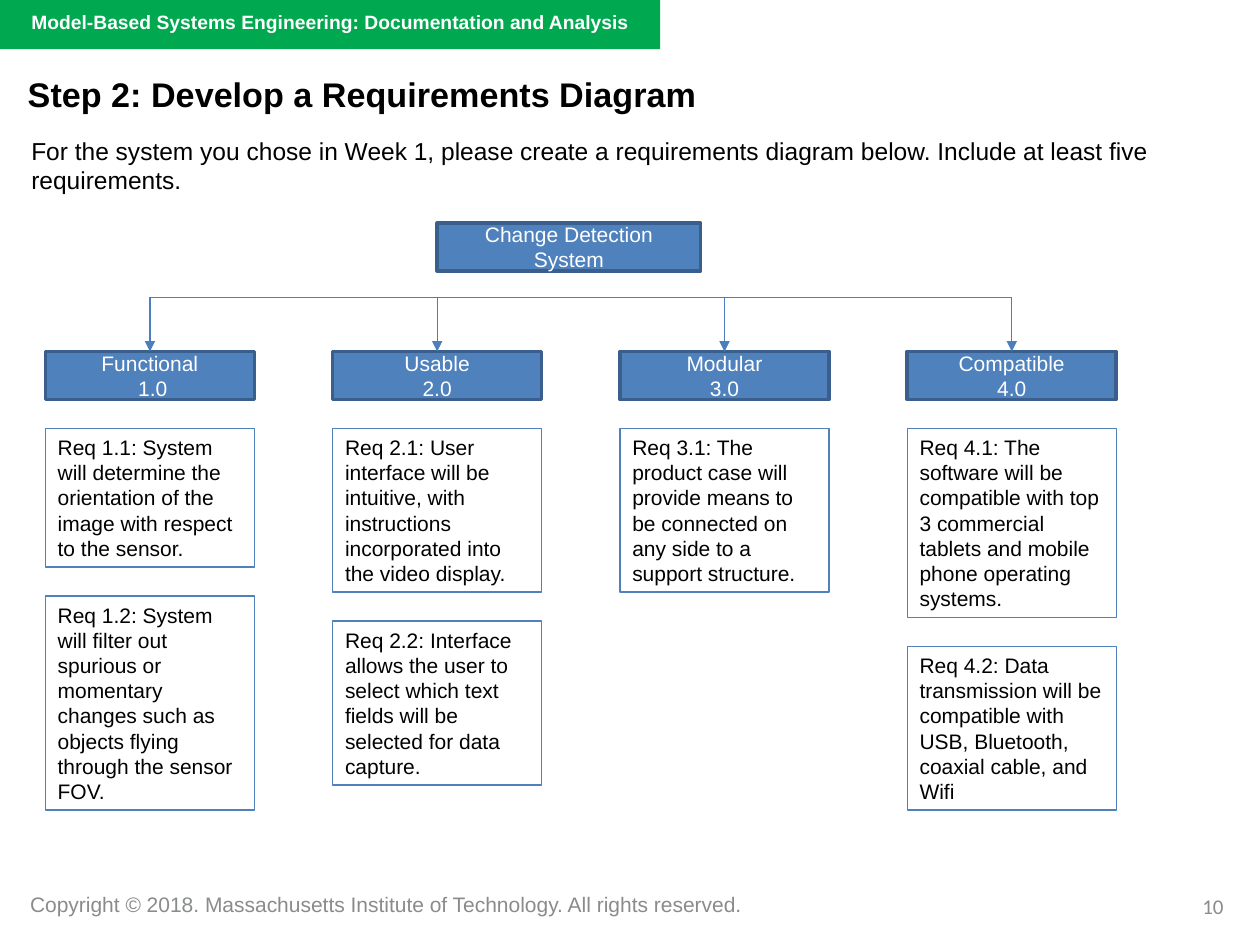
from lxml import etree
from pptx import Presentation
from pptx import util as u
from pptx.dml.color import RGBColor
from pptx.enum import shapes, text
from pptx.oxml import ns

FIRST_LEFT, COLUMN_PITCH, COLUMN_WIDTH = 0.36, 2.28, 1.66
BRANCH_TOP, HEADING_TOP, REQUIREMENT_TOP = 2.36, 2.79, 3.4
HEADING_HEIGHT, LINE_HEIGHT, REQUIREMENT_GAP = 0.38, 0.2, 0.23
BLUE, DARK_BLUE, BRANCH_BLUE = "4F81BD", "3A5F8C", "4B7EBC"
WHITE, BLACK, GREY, GREEN = "FFFFFF", "000000", "8A8B8C", "00A94F"

CATEGORIES = [
    ("Functional\n 1.0", [
        (5, "Req 1.1: System will determine the orientation of the image with respect to the sensor."),
        (8, "Req 1.2: System will filter out spurious or momentary changes such as objects flying "
            "through the sensor FOV."),
    ]),
    ("Usable\n2.0", [
        (6, "Req 2.1: User interface will be intuitive, with instructions incorporated into the "
            "video display."),
        (6, "Req 2.2: Interface allows the user to select which text fields will be selected for "
            "data capture."),
    ]),
    ("Modular\n3.0", [
        (6, "Req 3.1: The product case will provide means to be connected on any side to a support "
            "structure."),
    ]),
    ("Compatible\n4.0", [
        (7, "Req 4.1: The software will be compatible with top 3 commercial tablets and mobile "
            "phone operating systems."),
        (6, "Req 4.2: Data transmission will be compatible with USB, Bluetooth, coaxial cable, "
            "and Wifi"),
    ]),
]


def color(value):
    """Turn a hex string into a colour."""
    return RGBColor.from_string(value)


def apply(target, values):
    """Set every attribute named in a dict of format values."""
    for name, value in values.items():
        setattr(target, name, value)


def place(shape, left, top, width, height):
    """Move and size a shape, in inches."""
    lengths = (left, top, width, height)
    apply(shape, dict(zip(("left", "top", "width", "height"), map(u.Inches, lengths))))


def write(shape, words, size, ink=BLACK, bold=False, align=text.PP_ALIGN.LEFT,
          font="Arial", **frame_values):
    """Fill a shape with formatted paragraphs, one per line of words."""
    frame = shape.text_frame
    apply(frame, {"word_wrap": True, "vertical_anchor": text.MSO_ANCHOR.TOP, **frame_values})
    frame.text = words
    for paragraph in frame.paragraphs:
        paragraph.alignment = align
        apply(paragraph.font, {"name": font, "size": u.Pt(size), "bold": bold})
        paragraph.font.color.rgb = color(ink)


def add_text(slide, box, words, size, **values):
    """Add a text box."""
    write(slide.shapes.add_textbox(*map(u.Inches, box)), words, size, **values)


def add_box(slide, box, fill=None, line=None, weight=0.75):
    """Add a rectangle with an optional fill and outline."""
    shape = slide.shapes.add_shape(shapes.MSO_SHAPE.RECTANGLE, *map(u.Inches, box))
    shape.shadow.inherit = False
    for part, value in ((shape.fill, fill), (shape.line.fill, line)):
        if value:
            part.solid()
            part.fore_color.rgb = color(value)
        else:
            part.background()
    if line:
        shape.line.width = u.Pt(weight)
    return shape


def add_heading(slide, box, words):
    """Add a filled heading box with centred text."""
    heading = add_box(slide, box, BLUE, DARK_BLUE, 2)
    write(heading, words, 12, ink=WHITE, align=text.PP_ALIGN.CENTER,
          vertical_anchor=text.MSO_ANCHOR.MIDDLE)
    return heading


def add_branch(slide, start, end, target=None):
    """Add a line, with an arrowhead where it joins a target box."""
    branch = slide.shapes.add_connector(
        shapes.MSO_CONNECTOR.STRAIGHT, *map(u.Inches, start + end))
    branch.line.color.rgb = color(BRANCH_BLUE)
    branch.line.width = u.Pt(0.75)
    if target is not None:
        branch.end_connect(target, 0)
        etree.SubElement(branch.line._get_or_add_ln(), ns.qn("a:tailEnd"), type="triangle")
    etree.SubElement(branch._element.spPr, ns.qn("a:effectLst"))


def add_category(slide, column, heading_words, requirements):
    """Add one column: branch, heading and requirements; return its centre."""
    left = FIRST_LEFT + column * COLUMN_PITCH
    center = left + COLUMN_WIDTH / 2
    heading = add_heading(slide, (left, HEADING_TOP, COLUMN_WIDTH, HEADING_HEIGHT), heading_words)
    add_branch(slide, (center, BRANCH_TOP), (center, HEADING_TOP), heading)
    top = REQUIREMENT_TOP
    for lines, words in requirements:
        height = 0.1 + lines * LINE_HEIGHT
        requirement = add_box(slide, (left, top, COLUMN_WIDTH, height), line=BLUE)
        write(requirement, words, 12, auto_size=text.MSO_AUTO_SIZE.SHAPE_TO_FIT_TEXT)
        top += height + REQUIREMENT_GAP
    return center


def add_frame(slide):
    """Add the header band, the footer and the page number."""
    add_box(slide, (-0.01, 0, 5.25, 0.39), GREEN)
    add_text(slide, (0.15, 0.03, 5.24, 0.58),
             "Model-Based Systems Engineering: Documentation and Analysis", 11, ink=WHITE, bold=True)
    add_text(slide, (0.14, 7.03, 5.96, 0.3),
             "Copyright © 2018. Massachusetts Institute of Technology. All rights reserved.",
             12, ink=GREY, word_wrap=False)
    add_text(slide, (7.48, 7.04, 2.33, 0.4), "10", 12, ink=GREY, font="Calibri",
             align=text.PP_ALIGN.RIGHT)


def main():
    """Build the requirements diagram slide."""
    presentation = Presentation()
    apply(presentation, {"slide_width": u.Inches(10), "slide_height": u.Inches(7.5)})
    slide = presentation.slides.add_slide(presentation.slide_layouts[5])
    add_frame(slide)
    title = slide.shapes.title
    place(title, 0.12, 0.48, 9, 0.55)
    margins = dict.fromkeys(
        ("margin_left", "margin_top", "margin_right", "margin_bottom"), u.Inches(0.1))
    write(title, "Step 2: Develop a Requirements Diagram", 19.5, bold=True,
          auto_size=text.MSO_AUTO_SIZE.NONE, **margins)
    add_text(slide, (0.15, 1.03, 9.37, 0.57),
             "For the system you chose in Week 1, please create a requirements diagram below. "
             "Include at least five requirements.", 14)
    add_heading(slide, (3.47, 1.77, 2.09, HEADING_HEIGHT), "Change Detection System")
    centers = [add_category(slide, column, *category)
               for column, category in enumerate(CATEGORIES)]
    add_branch(slide, (centers[0], BRANCH_TOP), (centers[-1], BRANCH_TOP))
    presentation.save("out.pptx")


if __name__ == "__main__":
    main()
